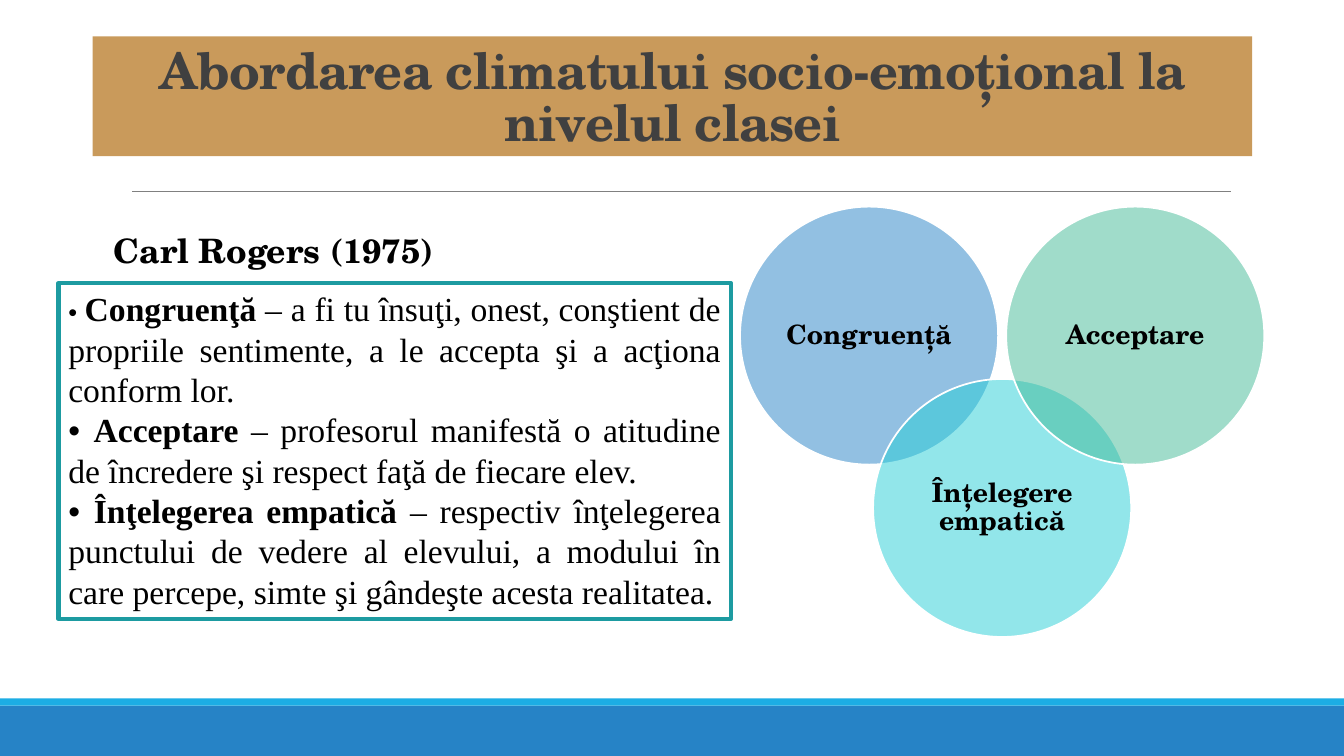
"""Build the slide on the socio-emotional climate of the classroom."""
from lxml import etree
from pptx import Presentation
from pptx.dml.color import RGBColor
from pptx.enum.shapes import MSO_CONNECTOR, MSO_SHAPE
from pptx.enum.text import MSO_ANCHOR as Anchor, PP_ALIGN as Align
from pptx.oxml.ns import qn
from pptx.util import Inches, Pt

COLORS = {"band": "2683C6", "strip": "1CADE4", "rule": "808080",
          "banner": "C99A5B", "title": "404040", "frame": "1D9BA1",
          "black": "000000", "white": "FFFFFF",
          "blue": "2683C6", "aqua": "27CED7", "green": "42BA97"}
SERIF, BODY, BULLET = "TeX Gyre Schola", "Times New Roman", "Arial"

TITLE = "Abordarea climatului socio-emoțional la nivelul clasei"
AUTHOR = "Carl Rogers (1975)"
CONDITIONS = [
    ("Congruenţă", " – a fi tu însuţi, onest, conştient de propriile "
     "sentimente, a le accepta şi a acţiona conform lor. ", 18),
    ("Acceptare", " – profesorul manifestă o atitudine de încredere şi "
     "respect faţă de fiecare elev.", 24),
    ("Înţelegerea empatică ", "– respectiv înţelegerea punctului de vedere al "
     "elevului, a modului în care percepe, simte şi gândeşte acesta "
     "realitatea.", 24),
]
CIRCLES = [("Congruență", "blue"), ("Înțelegere empatică", "aqua"),
           ("Acceptare", "green")]
CIRCLE_LEFT, CIRCLE_TOP, DIAMETER = 7.34, 2.05, 2.56
STEP_X, STEP_Y = 1.32, 1.71


def color(name):
    return RGBColor.from_string(COLORS[name])


def add_figure(page, kind, place, fill=None, line=None, width=1):
    figure = page.shapes.add_shape(kind, *map(Inches, place))
    figure.shadow.inherit = False
    if fill:
        figure.fill.solid()
        figure.fill.fore_color.rgb = color(fill)
    else:
        figure.fill.background()
    if line:
        figure.line.color.rgb = color(line)
        figure.line.width = Pt(width)
    else:
        figure.line.fill.background()
    figure.text_frame.word_wrap = True
    return figure


def style(font, size, name=SERIF, bold=True, ink="black"):
    font.size, font.name, font.bold = Pt(size), name, bold
    font.color.rgb = color(ink)


def write(box, text, size, align, ink="black", spacing=1.0):
    para = box.text_frame.paragraphs[0]
    para.alignment, para.line_spacing = align, spacing
    span = para.add_run()
    span.text = text
    style(para.font, size, ink=ink)
    return span


def add_base(page):
    add_figure(page, MSO_SHAPE.RECTANGLE, (0, 7, 13.33, 0.5), "band")
    add_figure(page, MSO_SHAPE.RECTANGLE, (0, 6.93, 13.33, 0.07), "strip")
    rule = page.shapes.add_connector(
        MSO_CONNECTOR.STRAIGHT, *map(Inches, (1.31, 1.9, 12.21, 1.9)))
    rule.line.color.rgb = color("rule")
    rule.line.width = Pt(0.5)
    etree.SubElement(rule._element.spPr, qn("a:effectLst"))


def add_headings(page):
    banner = add_figure(page, MSO_SHAPE.RECTANGLE, (0.92, 0.36, 11.5, 1.19),
                        "banner")
    banner.text_frame.vertical_anchor = Anchor.BOTTOM
    span = write(banner, TITLE, 36, Align.CENTER, "title", 0.85)
    span._r.get_or_add_rPr().set("spc", "-50")
    box = page.shapes.add_textbox(*map(Inches, (1.03, 2.23, 3.55, 0.5)))
    box.text_frame.word_wrap = True
    write(box, AUTHOR, 24, Align.LEFT)


def add_circles(page):
    for index, (label, fill) in enumerate(CIRCLES):
        left = CIRCLE_LEFT + index * STEP_X
        top = CIRCLE_TOP + index % 2 * STEP_Y
        circle = add_figure(page, MSO_SHAPE.OVAL,
                            (left, top, DIAMETER, DIAMETER),
                            fill, "white", 1.25)
        tint = circle._element.spPr.find(qn("a:solidFill"))[0]
        etree.SubElement(tint, qn("a:alpha"), val="50000")
        frame = circle.text_frame
        frame.vertical_anchor = Anchor.MIDDLE
        frame.margin_left = frame.margin_right = Inches(0.08)
        frame.margin_top = frame.margin_bottom = Inches(0.08)
        write(circle, label, 19, Align.CENTER, spacing=0.9)


def add_conditions(page):
    box = add_figure(page, MSO_SHAPE.RECTANGLE, (0.58, 2.81, 6.67, 3.33),
                     line="frame", width=3)
    frame = box.text_frame
    frame.vertical_anchor = Anchor.TOP
    for index, (term, meaning, bullet_size) in enumerate(CONDITIONS):
        para = frame.add_paragraph() if index else frame.paragraphs[0]
        para.alignment = Align.JUSTIFY
        for text, size, name, bold in (("• ", bullet_size, BULLET, False),
                                       (term, 24, BODY, True),
                                       (meaning, 24, BODY, False)):
            span = para.add_run()
            span.text = text
            style(span.font, size, name, bold)


def main():
    deck = Presentation()
    deck.slide_width, deck.slide_height = Inches(13.33), Inches(7.5)
    page = deck.slides.add_slide(deck.slide_layouts[6])
    add_base(page)
    add_headings(page)
    add_circles(page)
    add_conditions(page)
    deck.save("out.pptx")


if __name__ == "__main__":
    main()
